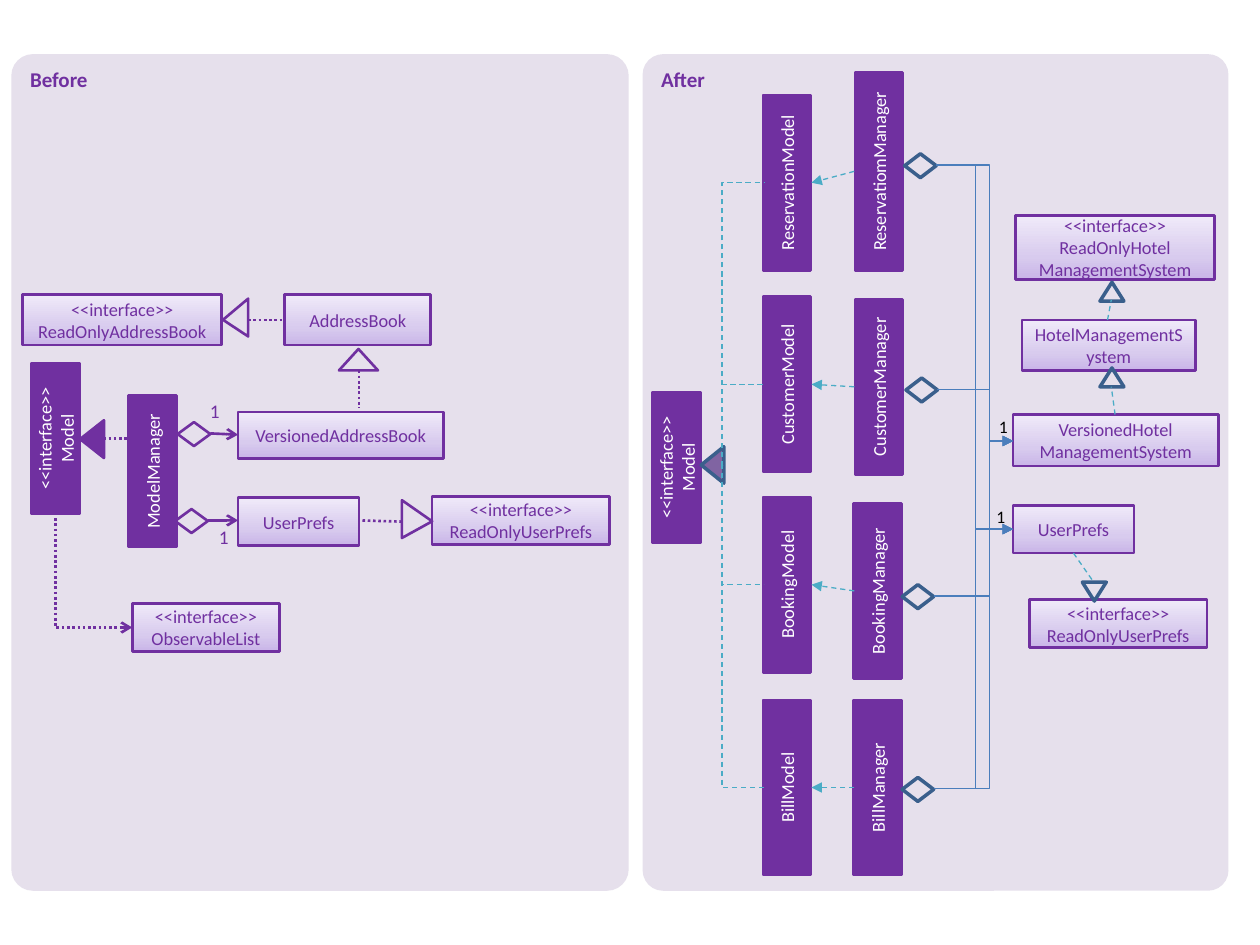
from copy import deepcopy
from lxml import etree
from pptx import Presentation
from pptx import util as u
from pptx.dml import color
from pptx.enum import dml, shapes, text
from pptx.oxml import ns

COLUMNS, ROWS = 1000, 750
deck = Presentation()
deck.slide_width, deck.slide_height = u.Inches(10), u.Inches(7.5)
cell = deck.slide_width // COLUMNS
page = deck.slides.add_slide(deck.slide_layouts[6])
kinds = shapes.MSO_SHAPE
paint = color.RGBColor.from_string
PURPLE, NAVY, LILAC, WHITE = "7030A0", "3A5F8C", "E6E0EC", "FFFFFF"
TEAL, BLUE, BLACK = "4BACC6", "4B7EBC", "000000"
GRADIENT = [(0, "C9B5E8"), (0.35, "D8CBEE"), (1, "F0EAF9")]


def draw_box(kind, place, words=(), fill=None, edge=None, weight=1.5, ink=PURPLE, size=10.5,
             bold=False, turn=0, bend=None, align="CENTER", anchor="MIDDLE", inset=None):
    area = [cell * part for part in place]
    box = page.shapes.add_shape(kind, *area) if kind else page.shapes.add_textbox(*area)
    box.rotation = turn
    if kind:
        box.shadow.inherit = False
    if bend is not None:
        box.adjustments[0] = bend
    if fill == GRADIENT:
        box.fill.gradient()
        stops = box.element.spPr.find(ns.qn("a:gradFill")).find(ns.qn("a:gsLst"))
        stops.append(deepcopy(stops[0]))
        for stop, (position, shade) in zip(box.fill.gradient_stops, GRADIENT):
            stop.position = position
            stop.color.rgb = paint(shade)
        box.fill.gradient_angle = 90
    elif fill:
        box.fill.solid()
        box.fill.fore_color.rgb = paint(fill)
    else:
        box.fill.background()
    if edge:
        box.line.color.rgb = paint(edge)
        box.line.width = u.Pt(weight)
    else:
        box.line.fill.background()
    frame = box.text_frame
    frame.word_wrap = True
    frame.vertical_anchor = text.MSO_ANCHOR[anchor]
    if inset is not None:
        frame.margin_left = frame.margin_right = frame.margin_top = frame.margin_bottom = inset
    for number, line in enumerate(words):
        para = frame.add_paragraph() if number else frame.paragraphs[0]
        para.alignment = text.PP_ALIGN[align]
        for order, piece in enumerate(line.split("\n")):
            if order:
                para.add_line_break()
            span = para.add_run()
            span.text = piece
            span.font.name, span.font.size, span.font.bold = "Calibri", u.Pt(size), bold
            span.font.color.rgb = paint(ink)


def draw_line(start, end, ink, weight=0.75, dash=None, head=None, corner=None):
    kind = shapes.MSO_CONNECTOR.STRAIGHT if corner is None else shapes.MSO_CONNECTOR.ELBOW
    line = page.shapes.add_connector(kind, *[cell * part for part in (*start, *end)])
    line.line.color.rgb = paint(ink)
    line.line.width = u.Pt(weight)
    if dash:
        line.line.dash_style = dash
    look = line.element.spPr
    if corner is not None:
        share = (corner - start[0]) / (end[0] - start[0])
        guides = look.find(ns.qn("a:prstGeom")).find(ns.qn("a:avLst"))
        etree.SubElement(guides, ns.qn("a:gd"), name="adj1", fmla=f"val {round(share * 100000)}")
    if head:
        etree.SubElement(look.find(ns.qn("a:ln")), ns.qn("a:tailEnd"), type=head)
    etree.SubElement(look, ns.qn("a:effectLst"))


card = dict(fill=GRADIENT, edge=PURPLE)
bar = dict(fill=PURPLE, edge=PURPLE, ink=WHITE, turn=270)
panel = dict(fill=LILAC, size=12, bold=True, bend=0.035, align="LEFT", anchor="TOP")
outline = dict(edge=NAVY, weight=2)
dashed = dict(ink=TEAL, dash=dml.MSO_LINE.DASH)
dotted = dict(ink=PURPLE, weight=1.5, dash=dml.MSO_LINE.ROUND_DOT)

draw_box(kinds.ROUNDED_RECTANGLE, (510, 43, 465, 664), ["After"], **panel)
for place, words in [
    ((804, 401, 96, 38), ["UserPrefs"]),
    ((804, 329, 163, 41), ["VersionedHotel", "ManagementSystem"]),
    ((806, 171, 158, 51), ["<<interface>>\nReadOnlyHotel", "ManagementSystem"]),
    ((811, 254, 138, 40), ["HotelManagementSystem"]),
    ((817, 476, 141, 38), ["<<interface>>", "ReadOnlyUserPrefs"]),
]:
    draw_box(kinds.RECTANGLE, place, words, **card)

draw_box(kinds.RECTANGLE, (477, 352, 120, 38), ["<<interface>>", "Model"], **bar)
draw_box(kinds.ISOSCELES_TRIANGLE, (551, 360, 29, 18), fill="8064A2", turn=270, **outline)

for model, model_top, manager, manager_place, diamond in [
    ("ReservationModel", 126, "ReservatiomManager", (619, 117, 157, 38), (718, 122)),
    ("CustomerModel", 286, "CustomerManager", (628, 288, 139, 38), (719, 300)),
    ("BookingModel", 445, "BookingManager", (627, 450, 139, 38), (716, 464)),
    ("BillModel", 606, "BillManager", (627, 606, 139, 38), (716, 617)),
]:
    model_row, manager_row = model_top + 19, manager_place[1] + 19
    draw_box(kinds.RECTANGLE, (555, model_top, 139, 38), [model], **bar)
    draw_box(kinds.RECTANGLE, manager_place, [manager], **bar)
    draw_line((574, 369), (606, model_row), corner=573, **dashed)
    draw_line((678, manager_row), (644, model_row), head="triangle", **dashed)
    draw_box(kinds.DIAMOND, (*diamond, 25, 19), **outline)
    origin = (diamond[0] + 25, diamond[1] + 9)
    for corner, target_row in [(785.5, 350), (774, 420)]:
        draw_line(origin, (804, target_row), BLUE, head="triangle", corner=corner)

for left, top, turn, start, end in [
    (873, 292, 0, (885, 329), (882, 307)),
    (873, 224, 0, (879, 254), (882, 238)),
    (859, 462, 180, (852, 439), (868, 462)),
]:
    draw_box(kinds.ISOSCELES_TRIANGLE, (left, top, 19, 15), turn=turn, **outline)
    draw_line(start, end, **dashed)
for left, top in [(783, 325), (781, 397)]:
    draw_box(None, (left, top, 30, 27), ["1"], ink=BLACK, size=10, align="LEFT", anchor="TOP")

draw_box(kinds.ROUNDED_RECTANGLE, (9, 43, 490, 664), ["Before"], **panel)
for place, words in [
    ((189, 395, 96, 38), ["UserPrefs"]),
    ((189, 327, 163, 37), ["VersionedAddressBook"]),
    ((18, 234, 158, 40), ["<<interface>>\nReadOnlyAddressBook"]),
    ((105, 479, 117, 38), ["<<interface>>\nObservableList"]),
    ((226, 234, 116, 40), ["AddressBook"]),
    ((343, 394, 141, 38), ["<<interface>>", "ReadOnlyUserPrefs"]),
]:
    draw_box(kinds.RECTANGLE, place, words, **card)
draw_box(kinds.RECTANGLE, (61, 355, 120, 38), ["ModelManager"], **bar)
draw_box(kinds.RECTANGLE, (-16, 329, 120, 38), ["<<interface>>", "Model"], **bar)

for start, end in [((82, 348), (106, 348)), ((285, 294), (285, 324)),
                   ((197, 254), (226, 254)), ((319, 414), (285, 413))]:
    draw_line(start, end, **dotted)
draw_line((44, 407), (105, 498), head="arrow", corner=44, **dotted)
for place, fill, turn, bend in [
    ((58, 339, 30, 19), PURPLE, 270, 0.5),
    ((269, 277, 31, 17), LILAC, 0, 0.5),
    ((172, 242, 30, 20), LILAC, 270, 0.44),
    ((316, 400, 30, 24), LILAC, 90, 0.56),
]:
    draw_box(kinds.ISOSCELES_TRIANGLE, place, fill=fill, edge=PURPLE, turn=turn, bend=bend)

for left, top, end_row, label in [(141, 335, 345, (161, 317, 19, 15)),
                                  (139, 404, 413, (167, 417, 21, 20))]:
    draw_line((left + 26, top + 9), (189, end_row), PURPLE, 1.5, head="arrow")
    draw_box(kinds.FLOWCHART_DECISION, (left, top, 26, 19), edge=PURPLE)
    draw_box(None, label, ["1"], size=11, anchor="TOP", inset=0)

deck.save("out.pptx")
